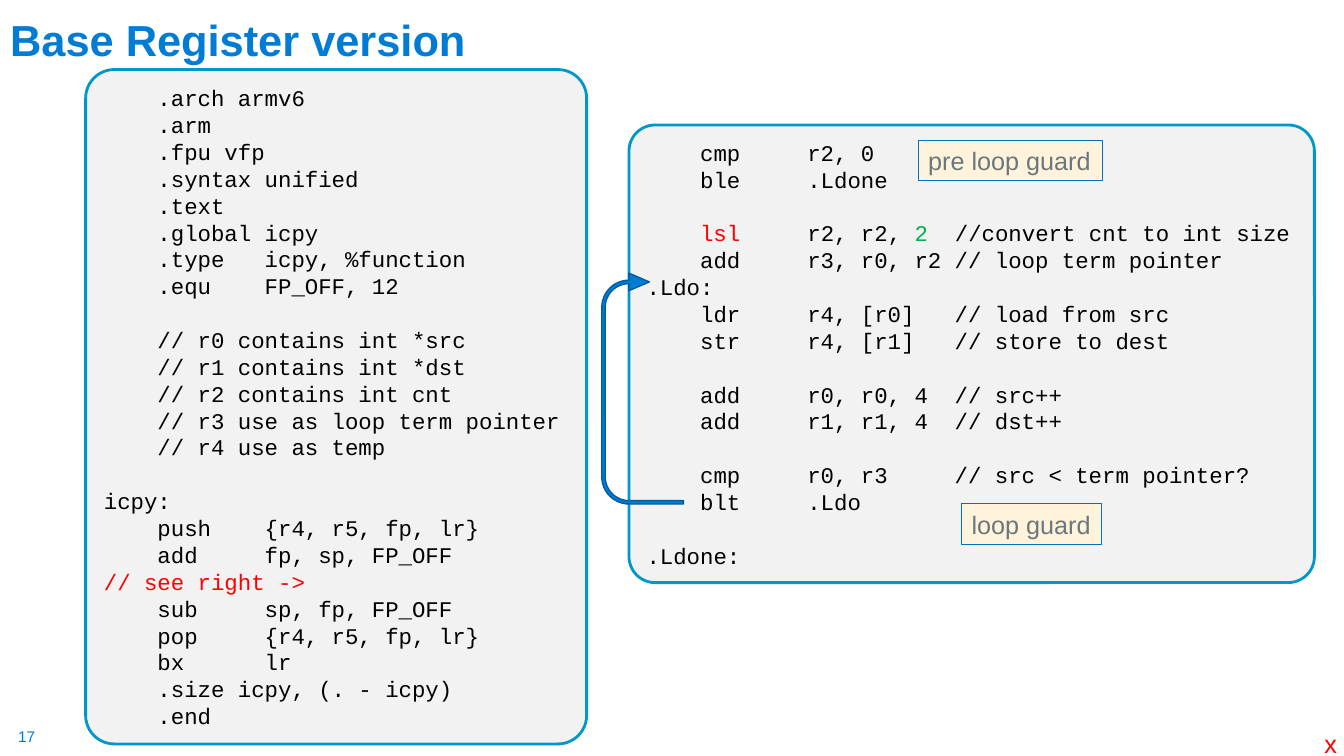
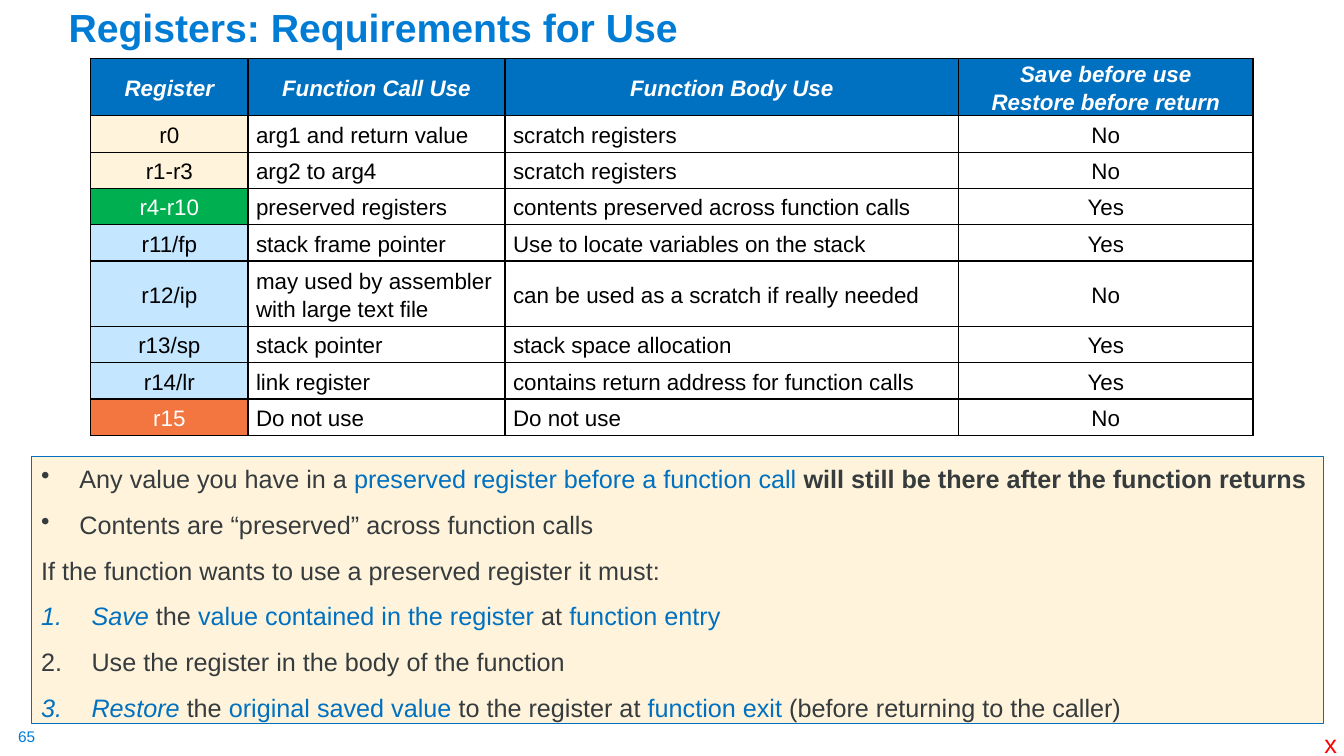
from pptx import Presentation
from pptx import util as u
from pptx.dml.color import RGBColor
from pptx.enum import shapes, text
from pptx.oxml.ns import qn
from lxml import etree

BLUE, LINK, PANEL_EDGE, ARROW_EDGE = "007CD5", "0070C0", "0098C9", "005C9E"
CREAM, GREY, SKY, ORANGE = "FFF4DB", "F2F2F2", "C4E6FF", "F3753F"
BLACK, WHITE, RED, GREEN = "000000", "FFFFFF", "FF0000", "00B050"
BODY_INK, LABEL_INK = "363B3E", "6B767D"
CODE_PITCH = 19.2
LEFT, CENTER = text.PP_ALIGN.LEFT, text.PP_ALIGN.CENTER
MIDDLE, TOP = text.MSO_ANCHOR.MIDDLE, text.MSO_ANCHOR.TOP


def px(length):
    """Convert px (100 to the inch) to EMU."""
    return u.Emu(length * 9144)


def rgb(value):
    return RGBColor.from_string(value)


def add_span(para, words, font="Arial", size=18, color=BLACK, bold=False, italic=False):
    span = para.add_run()
    span.text = words
    span.font.name, span.font.size = font, u.Pt(size)
    span.font.bold, span.font.italic = bold, italic
    span.font.color.rgb = rgb(color)


def add_spans(para, spans, **style):
    """Add a plain string, or a list of strings and (string, format) pairs."""
    for span in [spans] if isinstance(spans, str) else spans:
        words, extra = (span, {}) if isinstance(span, str) else span
        add_span(para, words, **{**style, **extra})


def set_frame(frame, margins=(10, 5, 10, 5), anchor=MIDDLE, wrap=True):
    frame.auto_size = text.MSO_AUTO_SIZE.NONE
    frame.word_wrap, frame.vertical_anchor = wrap, anchor
    (frame.margin_left, frame.margin_top,
     frame.margin_right, frame.margin_bottom) = map(px, margins)


def write(frame, lines, align=LEFT, spacing=None, **style):
    """Fill a text frame; an empty line becomes space before the next one."""
    para, gap = None, 0
    for line in lines:
        if not line:
            gap += spacing
            continue
        para = frame.add_paragraph() if para else frame.paragraphs[0]
        para.alignment = align
        if spacing:
            para.line_spacing = u.Pt(spacing)
        if gap:
            para.space_before = u.Pt(gap)
        gap = 0
        add_spans(para, line, **style)


def add_bullet(para, kind, indent):
    props = para._p.get_or_add_pPr()
    props.set("marL", str(px(indent)))
    props.set("indent", str(px(-indent)))
    if kind == "number":
        etree.SubElement(props, qn("a:buAutoNum"), type="arabicPeriod")
    else:
        etree.SubElement(props, qn("a:buChar"), char="•")


def add_borders(cell, color=BLACK, width=1):
    props = cell._tc.get_or_add_tcPr()
    for side in ("a:lnL", "a:lnR", "a:lnT", "a:lnB"):
        line = etree.SubElement(props, qn(side), w=str(u.Pt(width)))
        fill = etree.SubElement(line, qn("a:solidFill"))
        etree.SubElement(fill, qn("a:srgbClr"), val=color)


class SlideWriter:
    def __init__(self):
        self.deck = Presentation()
        self.deck.slide_width, self.deck.slide_height = u.Inches(13.333), u.Inches(7.5)
        self.page = None

    def start(self, title, number, place, size):
        self.page = self.deck.slides.add_slide(self.deck.slide_layouts[5])
        box = self.page.shapes.title
        box.left, box.top, box.width, box.height = map(px, place)
        set_frame(box.text_frame, anchor=text.MSO_ANCHOR.BOTTOM)
        write(box.text_frame, [title], size=size, color=BLUE, bold=True)
        box.text_frame.paragraphs[0].line_spacing = 0.9
        self.note(number, (18, 721, 19, 19), (0, 0, 0, 0), size=11, color=BLUE)
        self.note("x", (1304, 718, 29, 40), (10, 5, 0, 5), color=RED)

    def note(self, words, place, margins, **style):
        box = self.page.shapes.add_textbox(*map(px, place))
        set_frame(box.text_frame, margins, TOP, wrap=False)
        write(box.text_frame, [words], **style)

    def shape(self, kind, place, fill, edge, width, adjust=()):
        box = self.page.shapes.add_shape(kind, *map(px, place))
        box.shadow.inherit = False
        box.fill.solid()
        box.fill.fore_color.rgb = rgb(fill)
        box.line.color.rgb, box.line.width = rgb(edge), u.Pt(width)
        for index, value in enumerate(adjust):
            box.adjustments[index] = value
        return box

    def code_panel(self, place, lines):
        box = self.shape(shapes.MSO_SHAPE.ROUNDED_RECTANGLE, place, GREY,
                         PANEL_EDGE, 2, [0.057])
        set_frame(box.text_frame)
        write(box.text_frame, lines, spacing=CODE_PITCH, font="Courier New", size=16)

    def cream_box(self, place):
        return self.shape(shapes.MSO_SHAPE.RECTANGLE, place, CREAM, LINK, 0.75)

    def label(self, words, place):
        frame = self.cream_box(place).text_frame
        set_frame(frame, wrap=False)
        write(frame, [words], color=LABEL_INK)

    def loop_arrow(self, place):
        arrow = self.shape(shapes.MSO_SHAPE.U_TURN_ARROW, place, BLUE, ARROW_EDGE, 1,
                           [0.042, 0.107, 0.25, 0.438, 0.583])
        arrow.rotation = 270

    def bullets(self, place, items):
        frame = self.cream_box(place).text_frame
        set_frame(frame, (10, 7, 10, 5), TOP)
        for index, (kind, indent, spans) in enumerate(items):
            para = frame.add_paragraph() if index else frame.paragraphs[0]
            para.alignment = LEFT
            if kind:
                add_bullet(para, kind, indent)
            if index:
                para.space_before = u.Pt(11)
            add_spans(para, spans, color=BODY_INK)

    def cell(self, cell, words, fill, margins=(8, 4, 8, 4), align=LEFT, **style):
        add_borders(cell)
        cell.fill.solid()
        cell.fill.fore_color.rgb = rgb(fill)
        cell.vertical_anchor = MIDDLE
        (cell.margin_left, cell.margin_top,
         cell.margin_right, cell.margin_bottom) = map(px, margins)
        write(cell.text_frame, words.split("\n"), align, 20, size=16, **style)

    def table(self, left, top, widths, heights, header, rows):
        """Draw rows given as (key fill, key ink, texts) below a header."""
        grid = self.page.shapes.add_table(
            len(heights), len(widths),
            *map(px, (left, top, sum(widths), sum(heights)))).table
        grid.first_row = grid.horz_banding = False
        for column, width in zip(grid.columns, widths):
            column.width = px(width)
        for row, height in zip(grid.rows, heights):
            row.height = px(height)
        for column, words in enumerate(header):
            self.cell(grid.cell(0, column), words, LINK, (0, 0, 0, 0), CENTER,
                      color=WHITE, bold=True, italic=True)
        for index, (fill, ink, texts) in enumerate(rows, 1):
            for column, words in enumerate(texts):
                self.cell(grid.cell(index, column), words,
                          WHITE if column else fill,
                          align=LEFT if column in (1, 2) else CENTER,
                          color=BLACK if column else ink)


SETUP_CODE = [
    "    .arch armv6",
    "    .arm",
    "    .fpu vfp",
    "    .syntax unified",
    "    .text",
    "    .global icpy",
    "    .type   icpy, %function",
    "    .equ    FP_OFF, 12",
    "",
    "    // r0 contains int *src",
    "    // r1 contains int *dst",
    "    // r2 contains int cnt",
    "    // r3 use as loop term pointer",
    "    // r4 use as temp",
    "",
    "icpy:",
    "    push    {r4, r5, fp, lr}",
    "    add     fp, sp, FP_OFF",
    [("// see right ->", {"color": RED})],
    "    sub     sp, fp, FP_OFF",
    "    pop     {r4, r5, fp, lr}",
    "    bx      lr",
    "    .size icpy, (. - icpy)",
    "    .end",
]
LOOP_CODE = [
    "    cmp     r2, 0",
    "    ble     .Ldone",
    "",
    ["    ", ("lsl", {"color": RED}), "     r2, r2, ", ("2", {"color": GREEN}),
     "  //convert cnt to int size"],
    "    add     r3, r0, r2 // loop term pointer",
    ".Ldo:",
    "    ldr     r4, [r0]   // load from src",
    "    str     r4, [r1]   // store to dest",
    "",
    "    add     r0, r0, 4  // src++",
    "    add     r1, r1, 4  // dst++",
    "",
    "    cmp     r0, r3     // src < term pointer?",
    "    blt     .Ldo",
    "",
    ".Ldone:",
]
REGISTER_HEADER = ["Register", "Function Call Use", "Function Body Use",
                   "Save before use\nRestore before return"]
REGISTER_ROWS = [
    (CREAM, BLACK, ["r0", "arg1 and return value", "scratch registers", "No"]),
    (CREAM, BLACK, ["r1-r3", "arg2 to arg4", "scratch registers", "No"]),
    (GREEN, WHITE, ["r4-r10", "preserved registers",
                    "contents preserved across function calls", "Yes"]),
    (SKY, BLACK, ["r11/fp", "stack frame pointer",
                  "Use to locate variables on the stack", "Yes"]),
    (SKY, BLACK, ["r12/ip", "may used by assembler with large text file",
                  "can be used as a scratch if really needed", "No"]),
    (SKY, BLACK, ["r13/sp", "stack pointer", "stack space allocation", "Yes"]),
    (SKY, BLACK, ["r14/lr", "link register",
                  "contains return address for function calls", "Yes"]),
    (ORANGE, WHITE, ["r15", "Do not use", "Do not use", "No"]),
]
KEY = {"color": LINK}
VERB = {"color": LINK, "italic": True}
PRESERVE_RULES = [
    ("bullet", 38, ["Any value you have in a ",
                    ("preserved register before a function call ", KEY),
                    ("will still be there after the function returns", {"bold": True})]),
    ("bullet", 38, "Contents are “preserved” across function calls"),
    (None, 0, "If the function wants to use a preserved register it must:"),
    ("number", 50, [("Save", VERB), " the ", ("value contained in the register ", KEY),
                    "at ", ("function entry", KEY)]),
    ("number", 50, "Use the register in the body of the function"),
    ("number", 50, [("Restore", VERB), " the ", ("original saved value ", KEY),
                    "to the register at ", ("function exit ", KEY),
                    "(before returning to the caller)"]),
]


def main():
    slides = SlideWriter()

    slides.start("Base Register version", "17", (0, -8, 743, 78), 31)
    slides.code_panel((624, 124, 680, 454), LOOP_CODE)
    slides.code_panel((85, 69, 497, 669), SETUP_CODE)
    slides.loop_arrow((523, 345, 229, 81))
    slides.label("loop guard", (954, 500, 139, 40))
    slides.label("pre loop guard", (911, 139, 183, 40))

    slides.start("Registers: Requirements for Use", "65", (58, 7, 1270, 49), 28)
    slides.bullets((31, 453, 1282, 265), PRESERVE_RULES)
    slides.table(90, 58, [156, 255, 450, 292], [57, *[36] * 4, 65, *[36] * 3],
                 REGISTER_HEADER, REGISTER_ROWS)

    slides.deck.save("out.pptx")


if __name__ == "__main__":
    main()
